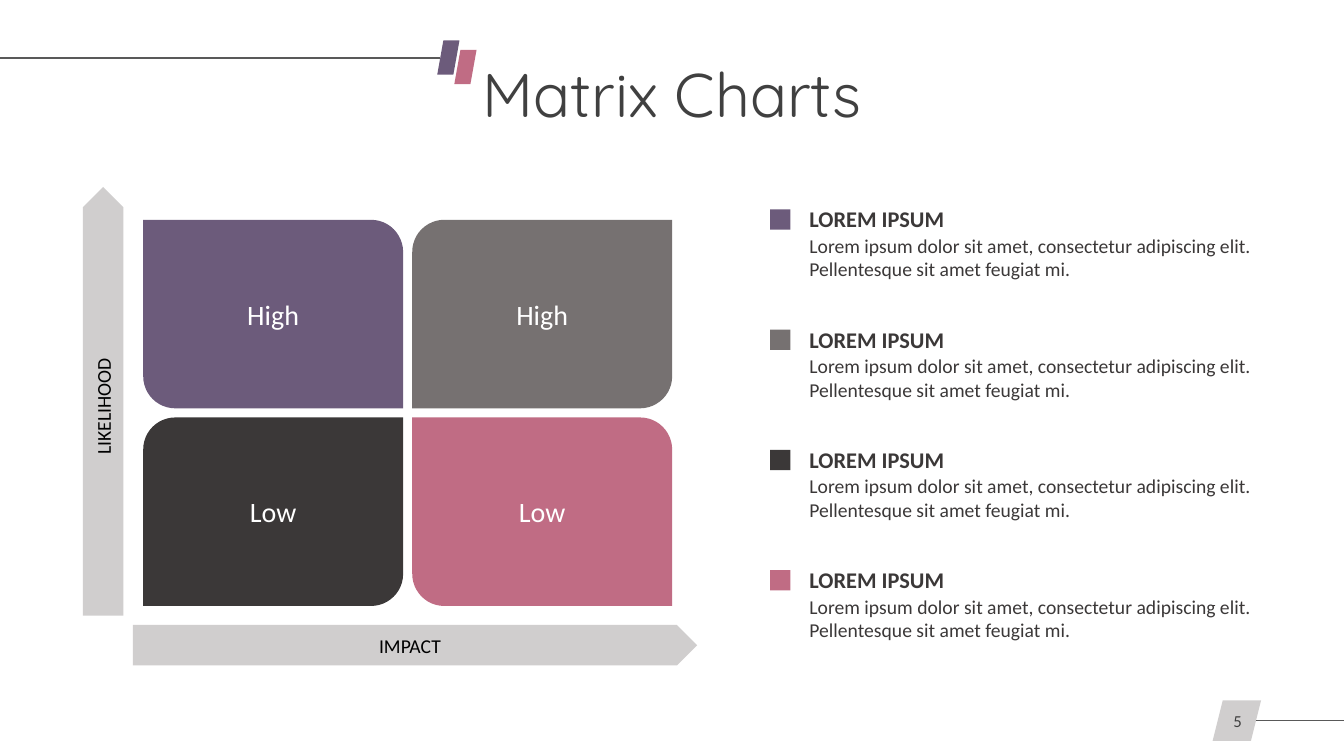
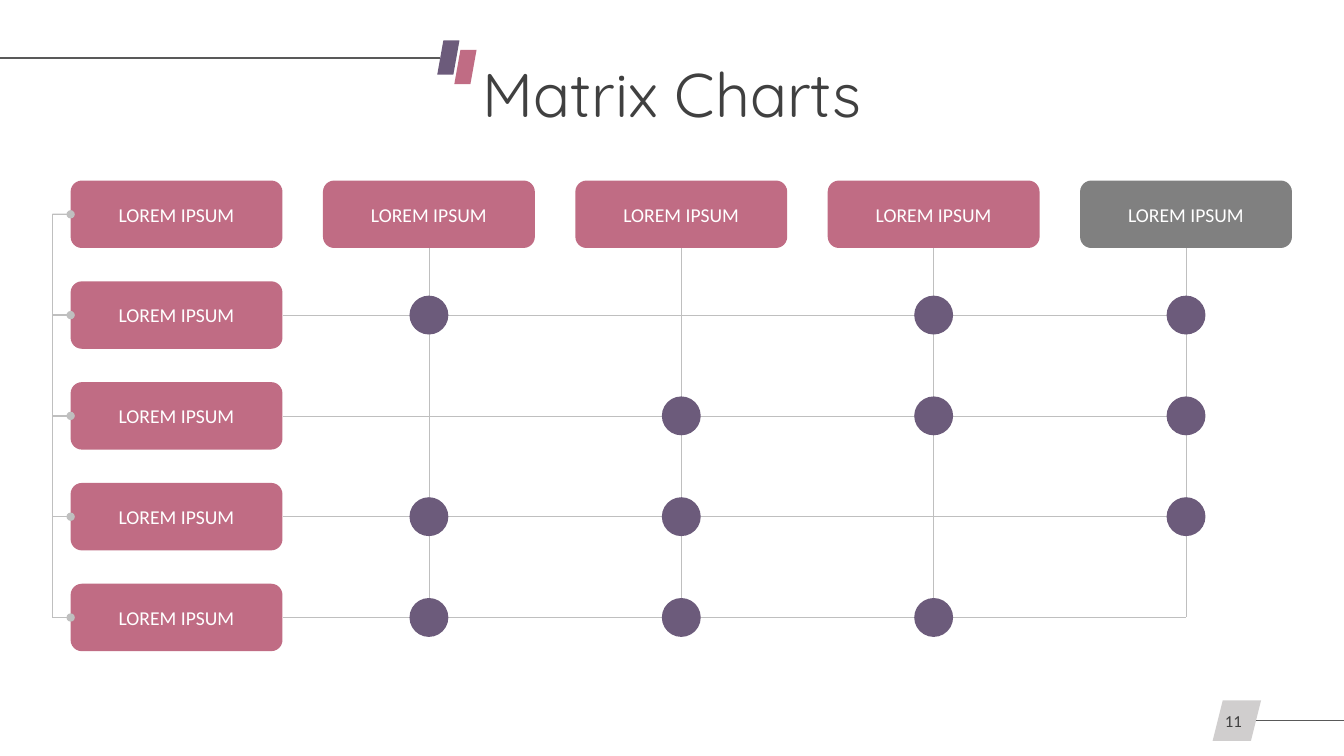
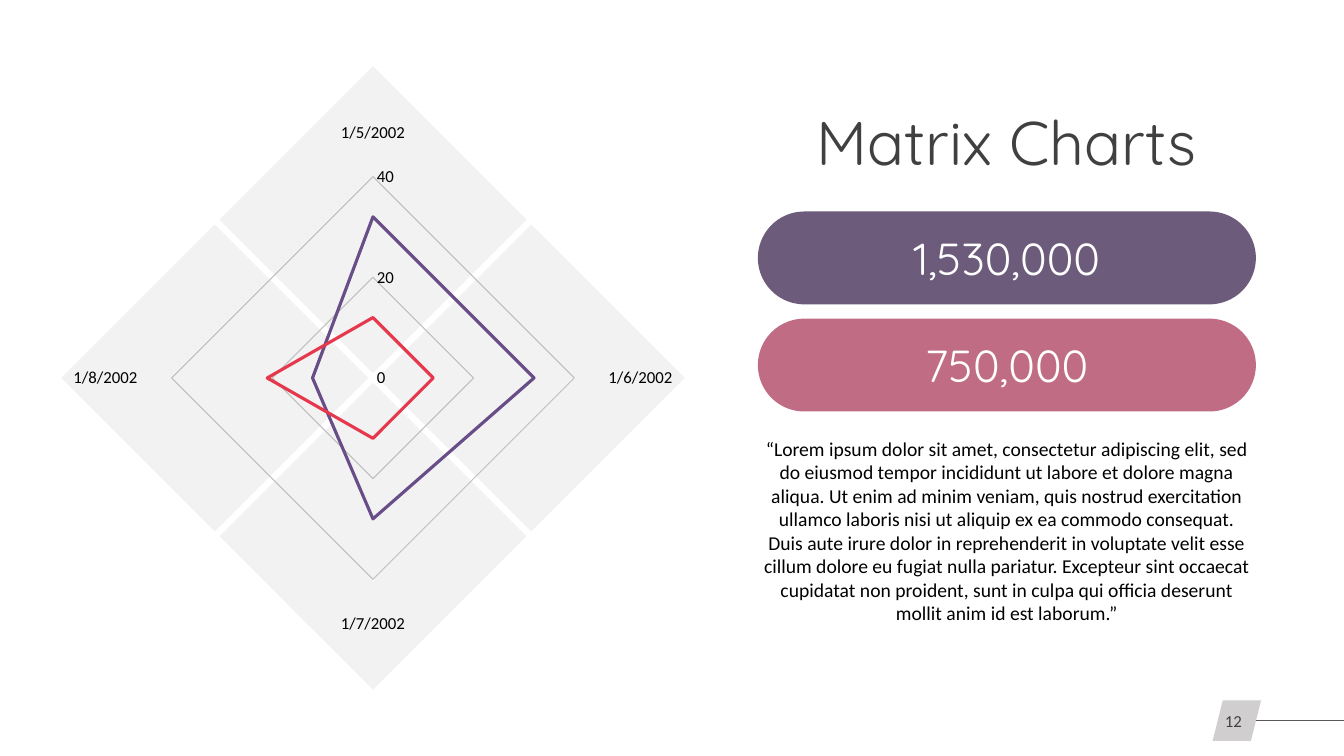
from dataclasses import dataclass

from lxml.etree import SubElement
from pptx import Presentation
from pptx.chart.data import CategoryChartData
from pptx.dml.color import RGBColor
from pptx.enum.chart import XL_CHART_TYPE, XL_TICK_MARK
from pptx.enum.shapes import MSO_CONNECTOR, MSO_SHAPE
from pptx.enum.text import MSO_ANCHOR, MSO_AUTO_SIZE, PP_ALIGN
from pptx.oxml.ns import qn
from pptx.util import Cm, Pt


@dataclass(frozen=True)
class Theme:
    """Colours, fonts and type sizes shared by all slides."""

    purple: RGBColor = RGBColor.from_string("6C5B7B")
    pink: RGBColor = RGBColor.from_string("C06C84")
    dark: RGBColor = RGBColor.from_string("3B3838")
    taupe: RGBColor = RGBColor.from_string("767171")
    gray: RGBColor = RGBColor.from_string("808080")
    silver: RGBColor = RGBColor.from_string("D0CECE")
    pale: RGBColor = RGBColor.from_string("F2F2F2")
    grid: RGBColor = RGBColor.from_string("BFBFBF")
    axis: RGBColor = RGBColor.from_string("D9D9D9")
    rule: RGBColor = RGBColor.from_string("595959")
    title: RGBColor = RGBColor.from_string("404040")
    black: RGBColor = RGBColor.from_string("000000")
    white: RGBColor = RGBColor.from_string("FFFFFF")
    violet: RGBColor = RGBColor.from_string("684D88")
    red: RGBColor = RGBColor.from_string("E5384C")
    heading_font: str = "Quicksand"
    body_font: str = "Calibri"
    title_size: int = 44
    figure_size: int = 32
    cell_size: int = 20
    heading_size: int = 16
    body_size: int = 14
    small_size: int = 12


THEME = Theme()
SLIDE_WIDTH, SLIDE_HEIGHT = 33.87, 19.05


@dataclass(frozen=True)
class Box:
    """A rectangle measured in centimetres."""

    left: float
    top: float
    width: float
    height: float

    def lengths(self):
        """Return left, top, width and height as slide lengths."""
        return Cm(self.left), Cm(self.top), Cm(self.width), Cm(self.height)

    def inner(self, left, top, width, height):
        """Return a box placed relative to this one."""
        return Box(self.left + left, self.top + top, width, height)

    def center(self):
        """Return the middle point."""
        return self.left + self.width / 2, self.top + self.height / 2


def centered_box(x, y, width, height):
    """Return a box around a middle point."""
    return Box(x - width / 2, y - height / 2, width, height)


def style_paragraph(paragraph, size, color, font=THEME.body_font, bold=False, align=PP_ALIGN.CENTER):
    """Set the alignment and font of a paragraph."""
    paragraph.alignment = align
    paragraph.font.name = font
    paragraph.font.size = Pt(size)
    paragraph.font.bold = bold
    paragraph.font.color.rgb = color


def add_block(slide, kind, box, color, text="", size=THEME.body_size, text_color=THEME.white,
              font=THEME.body_font, adjustments=()):
    """Add a plain filled shape with an optional centred label."""
    shape = slide.shapes.add_shape(kind, *box.lengths())
    shape.shadow.inherit = False
    shape.fill.solid()
    shape.fill.fore_color.rgb = color
    shape.line.fill.background()
    for index, value in enumerate(adjustments):
        shape.adjustments[index] = value
    if text:
        shape.text_frame.text = text
        shape.text_frame.vertical_anchor = MSO_ANCHOR.MIDDLE
        style_paragraph(shape.text_frame.paragraphs[0], size, text_color, font)
    return shape


def add_text_box(slide, box, margin=0.0):
    """Add a wrapping text box and return its text frame."""
    frame = slide.shapes.add_textbox(*box.lengths()).text_frame
    frame.word_wrap = True
    frame.margin_left = frame.margin_right = Cm(margin)
    frame.margin_top = frame.margin_bottom = 0
    return frame


def add_line(slide, start, end, color, width, oval=False):
    """Add a straight connector, optionally with a dot at its start."""
    points = [Cm(value) for value in (*start, *end)]
    connector = slide.shapes.add_connector(MSO_CONNECTOR.STRAIGHT, *points)
    connector.line.color.rgb = color
    connector.line.width = Pt(width)
    if oval:
        SubElement(connector.line._get_or_add_ln(), qn("a:headEnd"), type="oval")
    SubElement(connector._element.spPr, qn("a:effectLst"))
    return connector


def add_title_ornament(slide):
    """Add the line and two slanted bars before the title."""
    bar = Box(11.02, 1.02, 0.56, 0.86)
    for color, box in ((THEME.purple, bar), (THEME.pink, bar.inner(0.43, 0.24, 0.56, 0.86))):
        add_block(slide, MSO_SHAPE.PARALLELOGRAM, box, color, adjustments=[0.275])
    add_line(slide, (0, 1.46), (11.1, 1.46), THEME.rule, 1)


def add_page_mark(slide, number):
    """Add the page number on its slanted tag with the closing line."""
    tag = Box(30.56, 17.65, 1.22, 1.02)
    add_block(slide, MSO_SHAPE.PARALLELOGRAM, tag, THEME.silver)
    frame = add_text_box(slide, tag.inner(-6.63, 0, 7.62, 1.02), 0.25)
    frame.vertical_anchor = MSO_ANCHOR.MIDDLE
    frame.text = str(number)
    style_paragraph(frame.paragraphs[0], THEME.small_size, THEME.title, align=PP_ALIGN.RIGHT)
    add_line(slide, (31.65, 18.16), (SLIDE_WIDTH, 18.16), THEME.rule, 1)


def add_base_slide(presentation, number, title_box):
    """Add a slide with the shared title and page mark."""
    slide = presentation.slides.add_slide(presentation.slide_layouts.get_by_name("Title Only"))
    title = slide.shapes.title
    title.left, title.top, title.width, title.height = title_box.lengths()
    frame = title.text_frame
    frame.text = "Matrix Charts"
    frame.auto_size = MSO_AUTO_SIZE.NONE
    frame.vertical_anchor = MSO_ANCHOR.MIDDLE
    frame.paragraphs[0].line_spacing = 0.9
    style_paragraph(frame.paragraphs[0], THEME.title_size, THEME.title, THEME.heading_font)
    add_page_mark(slide, number)
    return slide


def add_headed_slide(presentation, number):
    """Add a slide with a full-width title and its ornament."""
    slide = add_base_slide(presentation, number, Box(2.34, 1.6, 29.21, 1.7))
    add_title_ornament(slide)
    return slide


def add_risk_matrix(slide, box):
    """Add four cells between a likelihood arrow and an impact arrow."""
    rows = (
        ("High", (THEME.purple, THEME.taupe)),
        ("Low", (THEME.dark, THEME.pink)),
    )
    for row, (label, colors) in enumerate(rows):
        for column, color in enumerate(colors):
            cell = box.inner(1.52 + column * 6.78, 0.83 + row * 4.98, 6.55, 4.75)
            corners = [0, 0.17] if row == column else [0.17, 0]
            add_block(slide, MSO_SHAPE.ROUND_2_DIAG_RECTANGLE, cell, color, label,
                      THEME.cell_size, adjustments=corners)
    thickness, length = 1.02, 10.8
    impact = box.inner(1.26, box.height - thickness, box.width - 1.26, thickness)
    likelihood = centered_box(box.left + thickness / 2, box.top + length / 2, length, thickness)
    for text, arrow_box, rotation in (("IMPACT", impact, 0), ("LIKELIHOOD", likelihood, 270)):
        arrow = add_block(slide, MSO_SHAPE.PENTAGON, arrow_box, THEME.silver, text,
                          text_color=THEME.black)
        arrow.rotation = rotation


def add_legend(slide, box):
    """Add four colour markers, each with a heading and a description."""
    colors = (THEME.purple, THEME.taupe, THEME.dark, THEME.pink)
    for index, color in enumerate(colors):
        top = index * 3.03
        add_block(slide, MSO_SHAPE.RECTANGLE, box.inner(0, top + 0.1, 0.51, 0.51), color)
        frame = add_text_box(slide, box.inner(0.99, top, box.width - 0.99, 1.9))
        frame.text = "LOREM IPSUM"
        description = frame.add_paragraph()
        description.text = ("Lorem ipsum dolor sit amet, consectetur adipiscing elit. "
                            "Pellentesque sit amet feugiat mi.")
        description.space_before = Pt(1)
        style_paragraph(frame.paragraphs[0], THEME.heading_size, THEME.dark, bold=True,
                        align=PP_ALIGN.LEFT)
        style_paragraph(description, THEME.body_size, THEME.dark, align=PP_ALIGN.LEFT)


def add_relation_grid(slide, box):
    """Add row and column labels, their crossing lines and the dots."""
    width, height, column_step, row_step = 5.34, 1.7, 6.36, 2.54
    dots_by_row = ((1, 3, 4), (2, 3, 4), (1, 2, 4), (1, 2, 3))
    last = 4

    def label_box(column, row):
        """Return the box of a grid position."""
        return box.inner(column * column_step, row * row_step, width, height)

    def add_label(column, row, color=THEME.pink):
        """Add one label to the grid."""
        return add_block(slide, MSO_SHAPE.ROUNDED_RECTANGLE, label_box(column, row), color,
                         "LOREM IPSUM")

    row_labels = [add_label(0, row) for row in range(last + 1)]
    headers = [add_label(column, 0, THEME.gray if column == last else THEME.pink)
               for column in range(1, last + 1)]
    for row, label in enumerate(row_labels[1:], 1):
        line = add_line(slide, label_box(0, row).center(), label_box(last, row).center(),
                        THEME.grid, 0.5)
        line.begin_connect(label, 3)
    for column, header in enumerate(headers, 1):
        line = add_line(slide, label_box(column, 0).center(), label_box(column, last).center(),
                        THEME.grid, 0.5)
        line.begin_connect(header, 2)
    for row, columns in enumerate(dots_by_row, 1):
        for column in columns:
            dot = centered_box(*label_box(column, row).center(), 0.98, 0.98)
            add_block(slide, MSO_SHAPE.OVAL, dot, THEME.purple)

    spine = box.left - 0.46
    levels = [label_box(0, row).center()[1] for row in range(last + 1)]
    add_line(slide, (spine, levels[0]), (spine, levels[-1]), THEME.grid, 1)
    for label, level in zip(row_labels, levels):
        stub = add_line(slide, (box.left, level), (spine, level), THEME.grid, 1, oval=True)
        stub.begin_connect(label, 1)


def add_radar(slide, box):
    """Add a radar chart over four tilted squares."""
    x, y = box.center()
    offset = 3.99
    for across, down in ((0, -1), (1, 0), (-1, 0), (0, 1)):
        square = centered_box(x + across * offset, y + down * offset, 5.47, 5.47)
        add_block(slide, MSO_SHAPE.RECTANGLE, square, THEME.pale).rotation = 45

    data = CategoryChartData()
    data.categories = ["1/5/2002", "1/6/2002", "1/7/2002", "1/8/2002"]
    data.add_series("Series 1", (32, 32, 28, 12))
    data.add_series("Series 2", (12, 12, 12, 21))
    chart = slide.shapes.add_chart(XL_CHART_TYPE.RADAR, *box.lengths(), data).chart
    chart.has_legend = False
    chart.has_title = False
    chart.font.name = THEME.body_font
    chart.font.size = Pt(THEME.small_size)
    chart.font.color.rgb = THEME.black
    plot = chart.plots[0]
    plot.vary_by_categories = False
    for series, color in zip(plot.series, (THEME.violet, THEME.red)):
        series.format.line.color.rgb = color
        series.format.line.width = Pt(2.25)

    category_axis, value_axis = chart.category_axis, chart.value_axis
    for axis in (category_axis, value_axis):
        axis.major_tick_mark = XL_TICK_MARK.NONE
        axis.minor_tick_mark = XL_TICK_MARK.NONE
    category_axis.has_major_gridlines = False
    category_axis.format.line.color.rgb = THEME.axis
    category_axis.format.line.width = Pt(0.75)
    value_axis.minimum_scale, value_axis.maximum_scale = 0, 40
    value_axis.major_unit = 20
    value_axis.format.line.fill.background()
    value_axis.major_gridlines.format.line.color.rgb = THEME.grid
    value_axis.major_gridlines.format.line.width = Pt(0.75)


def add_key_figures(slide, box):
    """Add two figures in pills with a quotation below."""
    for index, (text, color) in enumerate((("1,530,000", THEME.purple), ("750,000", THEME.pink))):
        add_block(slide, MSO_SHAPE.ROUNDED_RECTANGLE, box.inner(0, index * 2.7, box.width, 2.34),
                  color, text, THEME.figure_size, font=THEME.heading_font, adjustments=[0.5])
    frame = add_text_box(slide, box.inner(0.09, 5.67, box.width - 0.18, 4.78))
    frame.text = (
        "“Lorem ipsum dolor sit amet, consectetur adipiscing elit, sed do eiusmod tempor "
        "incididunt ut labore et dolore magna aliqua. Ut enim ad minim veniam, quis nostrud "
        "exercitation ullamco laboris nisi ut aliquip ex ea commodo consequat. Duis aute irure "
        "dolor in reprehenderit in voluptate velit esse cillum dolore eu fugiat nulla pariatur. "
        "Excepteur sint occaecat cupidatat non proident, sunt in culpa qui officia deserunt "
        "mollit anim id est laborum.”"
    )
    style_paragraph(frame.paragraphs[0], THEME.body_size, THEME.black)


def main():
    """Build the three slides and save them."""
    presentation = Presentation()
    presentation.slide_width = Cm(SLIDE_WIDTH)
    presentation.slide_height = Cm(SLIDE_HEIGHT)

    matrix_slide = add_headed_slide(presentation, 5)
    add_risk_matrix(matrix_slide, Box(2.09, 4.71, 15.48, 12.06))
    add_legend(matrix_slide, Box(19.41, 5.18, 12.37, 11))

    grid_slide = add_headed_slide(presentation, 11)
    add_relation_grid(grid_slide, Box(1.78, 4.55, 30.78, 11.86))

    radar_slide = add_base_slide(presentation, 12, Box(19.18, 2.82, 12.37, 1.7))
    add_radar(radar_slide, Box(-0.66, 2.82, 20.12, 13.41))
    add_key_figures(radar_slide, Box(19.1, 5.33, 12.55, 10.45))

    presentation.save("out.pptx")


if __name__ == "__main__":
    main()
